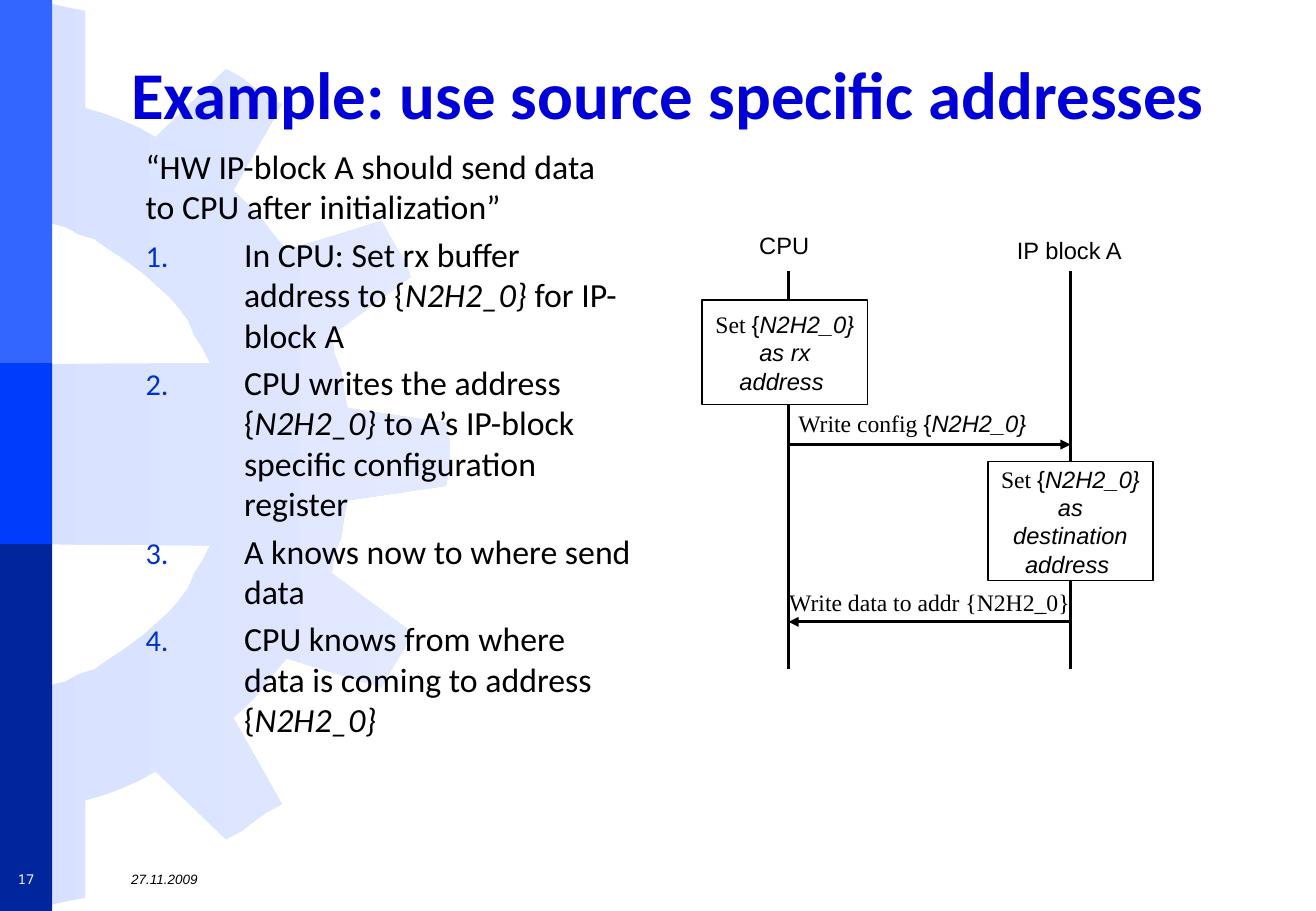
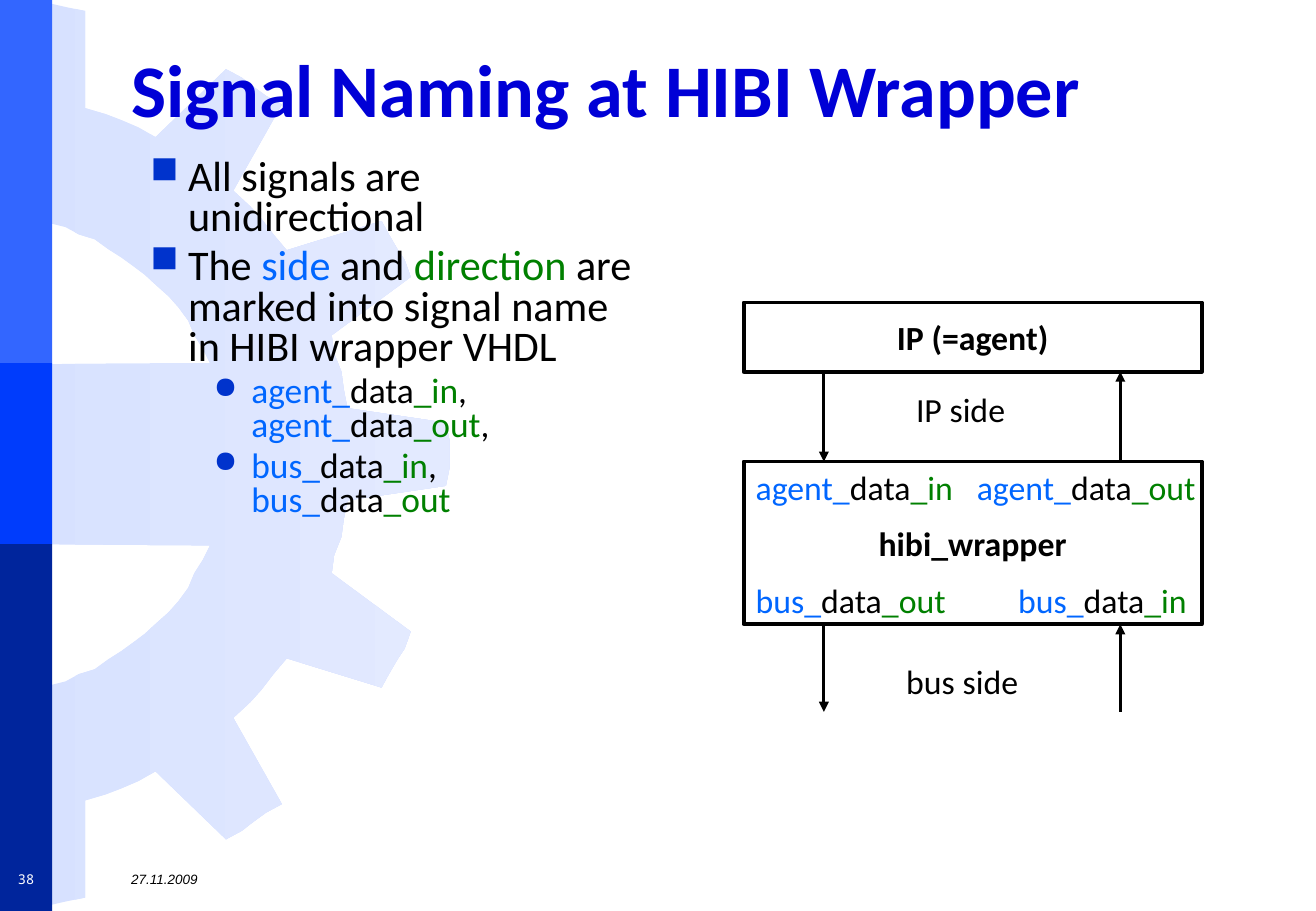
from dataclasses import dataclass

from lxml.etree import SubElement
from pptx import Presentation
from pptx.dml.color import RGBColor
from pptx.enum.shapes import MSO_CONNECTOR, MSO_SHAPE
from pptx.enum.text import MSO_ANCHOR, PP_ALIGN
from pptx.oxml.ns import qn
from pptx.util import Inches, Pt


@dataclass(frozen=True)
class Theme:
    ink: str = "000000"
    paper: str = "FFFFFF"
    title: str = "0000D6"
    bullet: str = "0033CC"
    side: str = "0066FF"
    direction: str = "008000"
    gear: tuple = ("D7E1FF", "E3EAFF")
    rail: tuple = ("3366FF", "003CFC", "00259C")
    body_font: str = "Calibri"
    label_font: str = "Arial"
    message_font: str = "Times New Roman"
    number_font: str = "Noto Sans Mono"
    body_size: float = 20
    naming_size: float = 25
    signal_size: float = 21
    label_size: float = 14
    footer_size: float = 8
    line_width: float = 1.75


THEME = Theme()
SLIDE_WIDTH, SLIDE_HEIGHT = 10.83, 7.5
RAIL_WIDTH = 0.43
RAIL_EDGES = (0, 2.99, 4.48, SLIDE_HEIGHT)
FOOTER_TOP, FOOTER_HEIGHT = 7.11, 0.26
CONTENT_LEFT, CONTENT_WIDTH = 0.98, 9.39
GEAR_HEIGHT = 7.48
GEAR_LOWER_HALF = [
    (0, 4.48), (1.73, 4.49), (1.67, 4.61), (1.6, 4.72), (1.55, 4.84), (1.47, 4.95),
    (1.39, 5.04), (1.3, 5.12), (1.19, 5.22), (1.11, 5.28), (1, 5.36), (0.89, 5.43),
    (0.78, 5.51), (0.65, 5.55), (0.54, 5.61), (0.42, 5.64), (0.28, 5.68), (0.14, 5.7),
    (0.14, 7.48), (0.29, 7.46), (0.42, 7.45), (0.55, 7.42), (0.7, 7.39), (0.7, 6.59),
    (0.87, 6.54), (1, 6.49), (1.14, 6.43), (1.28, 6.35), (1.86, 6.91), (1.99, 6.84),
    (2.08, 6.77), (2.19, 6.69), (2.32, 6.62), (1.92, 5.91), (2.06, 5.78), (2.15, 5.68),
    (2.25, 5.55), (2.36, 5.42), (3.14, 5.66), (3.2, 5.55), (3.27, 5.43), (3.33, 5.34),
    (3.38, 5.2), (2.73, 4.72), (2.75, 4.57), (2.81, 4.42), (2.83, 4.27), (2.86, 4.12),
    (3.67, 4), (3.7, 3.85),
]


def color(value):
    return RGBColor.from_string(value)


def style_font(font, name=None, size=None, ink=None, bold=None, italic=None):
    if name:
        font.name = name
    if size:
        font.size = Pt(size)
    if ink:
        font.color.rgb = color(ink)
    if bold is not None:
        font.bold = bold
    if italic is not None:
        font.italic = italic


def fill_paragraph(paragraph, content, **look):
    runs = [(content, {})] if isinstance(content, str) else content
    style_font(paragraph.font, **look)
    for text, difference in runs:
        run = paragraph.add_run()
        run.text = text
        if difference:
            style_font(run.font, **difference)


def add_text(slide, box, content=None, align=PP_ALIGN.LEFT, anchor=MSO_ANCHOR.TOP, **look):
    frame = slide.shapes.add_textbox(*map(Inches, box)).text_frame
    frame.word_wrap = True
    frame.vertical_anchor = anchor
    if content:
        frame.paragraphs[0].alignment = align
        fill_paragraph(frame.paragraphs[0], content, **look)
    return frame


def add_box(slide, box, fill, line_width=None, content=None, **look):
    shape = slide.shapes.add_shape(MSO_SHAPE.RECTANGLE, *map(Inches, box))
    shape.shadow.inherit = False
    shape.fill.solid()
    shape.fill.fore_color.rgb = color(fill)
    if line_width:
        shape.line.color.rgb = color(THEME.ink)
        shape.line.width = Pt(line_width)
    else:
        shape.line.fill.background()
    if content:
        frame = shape.text_frame
        frame.word_wrap = True
        frame.vertical_anchor = MSO_ANCHOR.MIDDLE
        frame.paragraphs[0].alignment = PP_ALIGN.CENTER
        fill_paragraph(frame.paragraphs[0], content, **look)


def add_line(slide, start, end, arrow=False):
    line = slide.shapes.add_connector(MSO_CONNECTOR.STRAIGHT, *map(Inches, start + end))
    line.line.color.rgb = color(THEME.ink)
    line.line.width = Pt(THEME.line_width)
    if arrow:
        SubElement(line.line._get_or_add_ln(), qn("a:tailEnd"), type="triangle")
    SubElement(line._element.spPr, qn("a:effectLst"))


def set_bullet(paragraph, margin, hanging, percent, character=None):
    properties = paragraph._p.get_or_add_pPr()
    properties.set("marL", str(Inches(margin)))
    properties.set("indent", str(-Inches(hanging)))
    bullet_color = SubElement(properties, qn("a:buClr"))
    SubElement(bullet_color, qn("a:srgbClr"), val=THEME.bullet)
    SubElement(properties, qn("a:buSzPct"), val=str(percent * 1000))
    if character:
        SubElement(properties, qn("a:buChar"), char=character)
    else:
        SubElement(properties, qn("a:buAutoNum"), type="arabicPeriod")


def add_gear(slide):
    mirrored = [(x, GEAR_HEIGHT - y) for x, y in reversed(GEAR_LOWER_HALF)]
    points = [(Inches(x), Inches(y)) for x, y in GEAR_LOWER_HALF + mirrored]
    builder = slide.shapes.build_freeform(*points[0], scale=1.0)
    builder.add_line_segments(points[1:], close=True)
    gear = builder.convert_to_shape()
    gear.shadow.inherit = False
    gear.line.fill.background()
    gear.fill.gradient()
    gear.fill.gradient_angle = 0
    for stop, tint in zip(gear.fill.gradient_stops, THEME.gear):
        stop.color.rgb = color(tint)


def add_base_slide(presentation, title, title_size, number):
    slide = presentation.slides.add_slide(presentation.slide_layouts[6])
    add_gear(slide)
    for top, bottom, shade in zip(RAIL_EDGES, RAIL_EDGES[1:], THEME.rail):
        add_box(slide, (0, top, RAIL_WIDTH, bottom - top), shade)
    heading = add_text(slide, (CONTENT_LEFT, 0.21, CONTENT_WIDTH, 0.94), title,
                       anchor=MSO_ANCHOR.BOTTOM, name=THEME.body_font,
                       size=title_size, ink=THEME.title, bold=True)
    heading.paragraphs[0].line_spacing = 0.9
    add_text(slide, (CONTENT_LEFT, FOOTER_TOP, CONTENT_WIDTH, FOOTER_HEIGHT), "27.11.2009",
             anchor=MSO_ANCHOR.MIDDLE, name=THEME.label_font, size=THEME.footer_size,
             ink=THEME.ink, italic=True)
    add_text(slide, (0, FOOTER_TOP, RAIL_WIDTH, FOOTER_HEIGHT), number,
             align=PP_ALIGN.CENTER, anchor=MSO_ANCHOR.MIDDLE, name=THEME.number_font,
             size=THEME.footer_size, ink=THEME.paper)
    return slide


def add_steps(slide, box):
    address = ("N2H2_0}", {"italic": True})
    steps = [
        [("In CPU: Set rx buffer address to {", {}), address, (" for IP-block A", {})],
        [("CPU writes the address {", {}), address,
         (" to A’s IP-block specific configuration register", {})],
        "A knows now to where send data",
        [("CPU knows from where data is coming to address {", {}), address],
    ]
    look = dict(name=THEME.body_font, size=THEME.body_size, ink=THEME.ink)
    frame = add_text(slide, box,
                     "“HW IP-block A should send data to CPU after initialization”", **look)
    for step in steps:
        paragraph = frame.add_paragraph()
        set_bullet(paragraph, 0.81, 0.81, 90)
        paragraph.space_before = Pt(4)
        fill_paragraph(paragraph, step, **look)


def address_runs(before, after):
    return [(before, {"name": THEME.message_font}),
            ("{", {"name": THEME.label_font}),
            ("N2H2_0}" + after, {"name": THEME.label_font, "italic": True})]


def add_sequence(slide, left, top):
    look = dict(size=THEME.label_size, ink=THEME.ink)
    cpu, block = left + 0.71, left + 3.03
    config, data = top + 1.81, top + 3.27
    for lifeline in (cpu, block):
        add_line(slide, (lifeline, top + 0.38), (lifeline, top + 3.66))
    add_line(slide, (cpu, config), (block, config), arrow=True)
    add_line(slide, (block, data), (cpu, data), arrow=True)
    for x, y, height, after in ((0, 0.62, 0.86, " as rx address "),
                                (2.35, 1.95, 0.98, " as destination address ")):
        add_box(slide, (left + x, top + y, 1.36, height), THEME.paper, 1,
                address_runs("Set ", after), **look)
    add_text(slide, (left + 0.68, config - 0.34, 2.15, 0.34),
             address_runs("Write config ", " "), align=PP_ALIGN.CENTER, **look)
    add_text(slide, (left + 0.6, data - 0.33, 2.59, 0.34), "Write data to addr {N2H2_0} ",
             align=PP_ALIGN.CENTER, name=THEME.message_font, **look)
    for x, y, width, label in ((0.37, 0, 0.8, "CPU"), (2.49, 0.04, 1.3, "IP block A")):
        add_text(slide, (left + x, top + y, width, 0.34), label,
                 name=THEME.label_font, **look)


def signal_runs(side, direction):
    return [(side + "_", {"ink": THEME.side}), ("data", {"ink": THEME.ink}),
            ("_" + direction, {"ink": THEME.direction})]


def add_naming_rules(slide, box):
    plain = {"ink": THEME.ink}
    rules = [
        (0, "All signals are unidirectional"),
        (0, [("The ", plain), ("side", {"ink": THEME.side}), (" and ", plain),
             ("direction ", {"ink": THEME.direction}),
             ("are marked into signal name in HIBI wrapper VHDL", plain)]),
        (1, signal_runs("agent", "in") + [(", ", plain)]
            + signal_runs("agent", "out") + [(",", plain)]),
        (1, signal_runs("bus", "in") + [(", ", plain)] + signal_runs("bus", "out")),
    ]
    levels = [(0.31, 90, "■", THEME.naming_size, 5), (0.83, 85, "●", THEME.signal_size, 4)]
    frame = add_text(slide, box)
    for index, (level, content) in enumerate(rules):
        margin, percent, character, size, gap = levels[level]
        paragraph = frame.add_paragraph() if index else frame.paragraphs[0]
        set_bullet(paragraph, margin, 0.31, percent, character)
        paragraph.level = level
        paragraph.line_spacing = 0.8
        if index:
            paragraph.space_before = Pt(gap)
        fill_paragraph(paragraph, content, name=THEME.body_font, size=size, ink=THEME.ink)


def add_wrapper_diagram(slide, left, top):
    look = dict(name=THEME.body_font, size=THEME.body_size, ink=THEME.ink)
    agent_bottom, wrapper_top, wrapper_bottom = top + 0.57, top + 1.31, top + 2.65
    for y, bottom, label in ((top, agent_bottom, "IP (=agent)"),
                             (wrapper_top, wrapper_bottom, "hibi_wrapper")):
        add_box(slide, (left, y, 3.77, bottom - y), THEME.paper, 2.25, label,
                bold=True, **look)
    for upper, lower in ((agent_bottom, wrapper_top), (wrapper_bottom, top + 3.37)):
        add_line(slide, (left + 0.66, upper), (left + 0.66, lower), arrow=True)
        add_line(slide, (left + 3.1, lower), (left + 3.1, upper), arrow=True)
    for x, y, content in (
        (1.32, 0.66, "IP side"),
        (1.24, 2.9, "bus side"),
        (0, 1.3, signal_runs("agent", "in")),
        (1.82, 1.3, signal_runs("agent", "out")),
        (0, 2.23, signal_runs("bus", "out")),
        (2.16, 2.23, signal_runs("bus", "in")),
    ):
        add_text(slide, (left + x, top + y, 2.3, 0.55), content, **look)


def main():
    presentation = Presentation()
    presentation.slide_width = Inches(SLIDE_WIDTH)
    presentation.slide_height = Inches(SLIDE_HEIGHT)

    addresses = add_base_slide(presentation, "Example: use source specific addresses",
                               39.6, "17")
    add_steps(addresses, (1.1, 1.15, 4.19, 5.58))
    add_sequence(addresses, 5.78, 1.85)

    naming = add_base_slide(presentation, "Signal Naming at HIBI Wrapper", 44, "38")
    add_naming_rules(naming, (1.14, 1.26, 4.2, 3.57))
    add_wrapper_diagram(naming, 6.12, 2.49)

    presentation.save("out.pptx")


if __name__ == "__main__":
    main()
